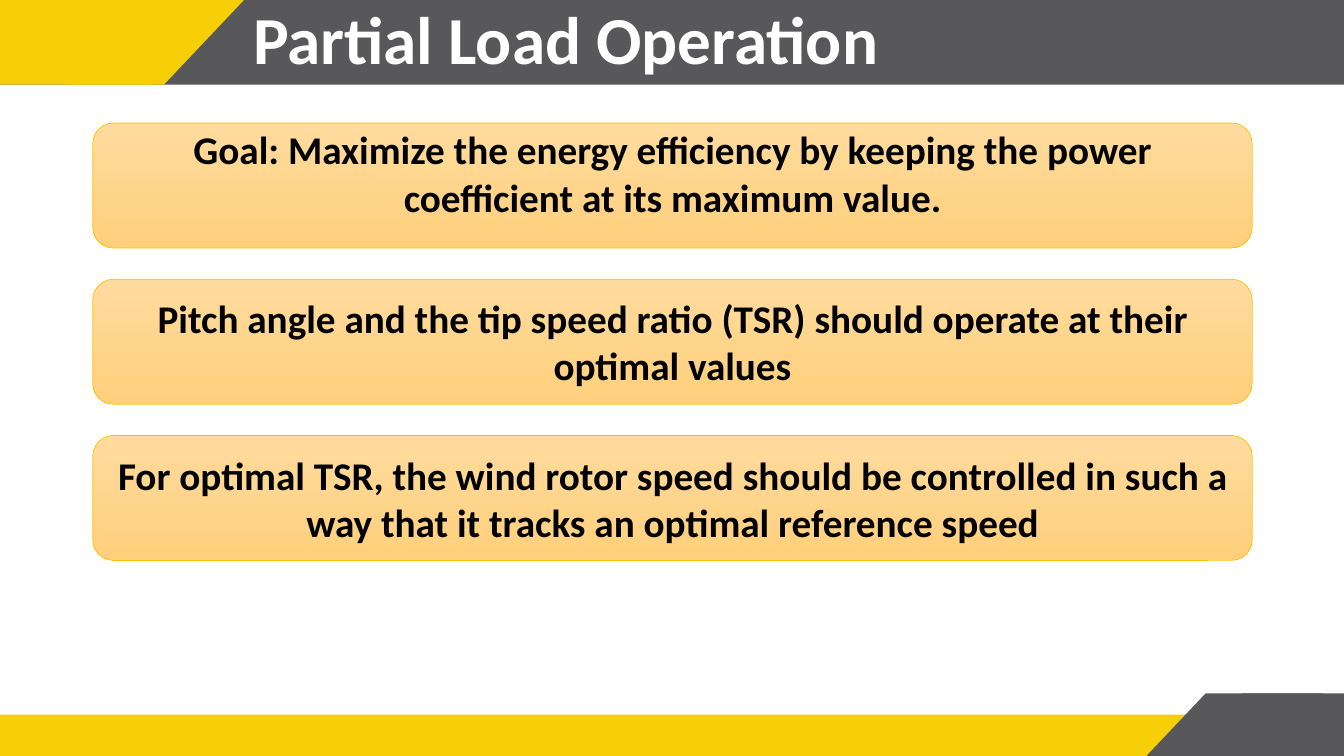
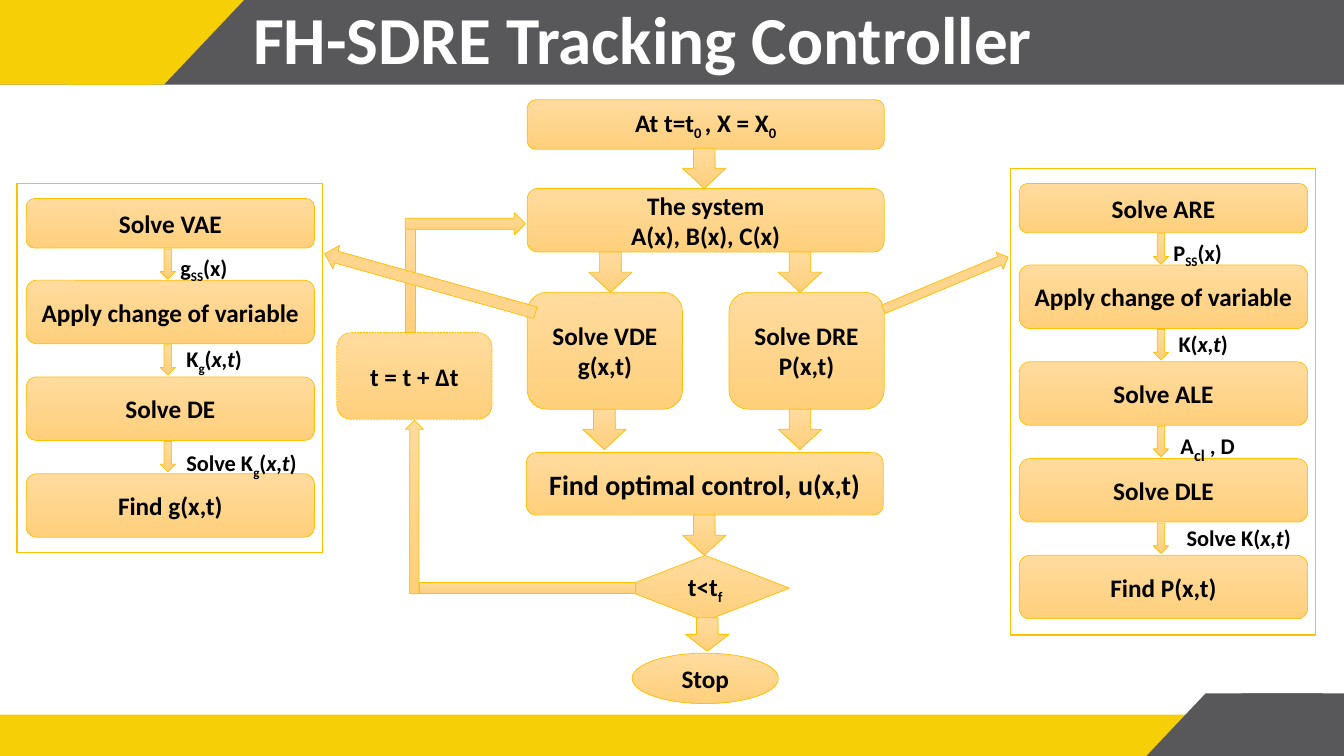
from pptx import Presentation
from pptx.dml.color import RGBColor
from pptx.enum.dml import MSO_LINE
from pptx.enum.shapes import MSO_SHAPE
from pptx.enum.text import MSO_ANCHOR, MSO_AUTO_SIZE, PP_ALIGN
from pptx.util import Emu, Pt

RECT = MSO_SHAPE.RECTANGLE
ROUND = MSO_SHAPE.ROUNDED_RECTANGLE
SLANT = MSO_SHAPE.PARALLELOGRAM
DIAMOND = MSO_SHAPE.FLOWCHART_DECISION
OVAL = MSO_SHAPE.OVAL
DOWN = MSO_SHAPE.DOWN_ARROW
UP = MSO_SHAPE.UP_ARROW
RIGHT = MSO_SHAPE.RIGHT_ARROW
MIDDLE = MSO_ANCHOR.MIDDLE
TOP = MSO_ANCHOR.TOP
CENTER = PP_ALIGN.CENTER
LEFT = PP_ALIGN.LEFT
FIT_SHAPE = MSO_AUTO_SIZE.SHAPE_TO_FIT_TEXT
NO_FIT = MSO_AUTO_SIZE.NONE
DASHED = MSO_LINE.SQUARE_DOT

YELLOW = RGBColor(0xF6, 0xCF, 0x06)
GRAY = RGBColor(0x58, 0x58, 0x5A)
WHITE = RGBColor(0xFF, 0xFF, 0xFF)
BLACK = RGBColor(0, 0, 0)
AMBER = RGBColor(0xFF, 0xC0, 0x00)
PALE_ORANGE = RGBColor(0xFF, 0xDB, 0x9E)
ORANGE = RGBColor(0xFF, 0xD0, 0x7C)

PX = 9144
SLIDE_SIZE = (1333, 750)
TITLE_ONLY = 5
BANDS = [
    (RECT, (0, 709, 1333, 41), YELLOW),
    (RECT, (0, 0, 1333, 84), GRAY),
    (SLANT, (67, 0, 175, 84), YELLOW),
    (RECT, (0, 0, 151, 84), YELLOW),
    (SLANT, (1137, 688, 175, 62), GRAY),
    (RECT, (1232, 688, 101, 62), GRAY),
    (RECT, (1199, 709, 101, 41), GRAY),
]


def px(*lengths):
    return [Emu(length * PX) for length in lengths]


def sub(text, **format_values):
    return text, -25, format_values


def italic(text):
    return text, 0, {"italic": True}


class Deck:
    def __init__(self):
        self.show = Presentation()
        self.show.slide_width, self.show.slide_height = px(*SLIDE_SIZE)
        self.layout = self.show.slide_layouts[TITLE_ONLY]
        self.page = None

    def add_page(self, title):
        first = self.page is None
        self.page = self.show.slides.add_slide(self.layout)
        if first:
            self.add_bands()
        holder = self.page.shapes.title
        holder.left, holder.top, holder.width, holder.height = px(241, 0, 1000, 84)
        self.set_text(holder.text_frame, [title], 48, WHITE, LEFT,
                      auto_size=NO_FIT, vertical_anchor=MIDDLE)
        holder.text_frame.paragraphs[0].line_spacing = 0.9

    def add_bands(self):
        for holder in list(self.layout.placeholders)[1:]:
            holder.element.getparent().remove(holder.element)
        bands = [self.shape(kind, at, color) for kind, at, color in BANDS]
        for band, (kind, _, _) in zip(bands, BANDS):
            if kind == SLANT:
                band.adjustments[0] = 0.946
            self.layout.shapes.element.append(band.element)

    def shape(self, kind, at, color=None, line=None):
        shape = self.page.shapes.add_shape(kind, *px(*at))
        shape.shadow.inherit = False
        if color is None:
            shape.fill.gradient()
            shape.fill.gradient_angle = 270
            for stop, tone in zip(shape.fill.gradient_stops, (PALE_ORANGE, ORANGE)):
                stop.color.rgb = tone
        else:
            shape.fill.solid()
            shape.fill.fore_color.rgb = color
        if line:
            shape.line.color.rgb = AMBER
            shape.line.width = Pt(line)
        else:
            shape.line.fill.background()
        return shape

    def set_text(self, frame, lines, size, color, align, **frame_values):
        for name, value in {"word_wrap": True, **frame_values}.items():
            setattr(frame, name, value)
        for index, line in enumerate(lines):
            para = frame.paragraphs[0] if index == 0 else frame.add_paragraph()
            para.alignment = align
            for part in [line] if isinstance(line, str) else line:
                text, baseline, changes = (part, 0, {}) if isinstance(part, str) else part
                span = para.add_run()
                span.text = text
                font_values = {"name": "Calibri", "size": Pt(size), "bold": True, **changes}
                for name, value in font_values.items():
                    setattr(span.font, name, value)
                span.font.color.rgb = color
                if baseline:
                    span._r.get_or_add_rPr().set("baseline", str(baseline * 1000))

    def box(self, at, *lines, kind=ROUND, size=18, **frame_values):
        box = self.shape(kind, at, line=0.5)
        self.set_text(box.text_frame, lines, size, BLACK, CENTER,
                      vertical_anchor=MIDDLE, **frame_values)
        return box

    def arrow(self, kind, at, rotation=0):
        self.shape(kind, at, line=0.5).rotation = rotation

    def label(self, at, line):
        label = self.page.shapes.add_textbox(*px(*at))
        self.set_text(label.text_frame, [line], 16, BLACK, LEFT,
                      auto_size=FIT_SHAPE, vertical_anchor=TOP)

    def panel(self, left, top, height, steps, labels):
        self.shape(RECT, (left, top, 303, height), WHITE, 1)
        for index, step in enumerate(steps):
            offset, depth = (96 * index, 63) if index else (15, 49)
            self.box((left + 9, top + offset, 286, depth), step)
            if index < len(labels):
                self.arrow(DOWN, (left + 142, top + offset + depth + 1, 15, 30))
        for x, y, width, line in labels:
            self.label((left + x, top + y, width, 37), line)


def build_partial_load(deck):
    deck.add_page("Partial Load Operation")
    statements = [
        "Goal: Maximize the energy efficiency by keeping the power coefficient at its maximum value.",
        "Pitch angle and the tip speed ratio (TSR) should operate at their optimal values",
        "For optimal TSR, the wind rotor speed should be controlled in such a way that it "
        "tracks an optimal reference speed",
    ]
    goal_margins = dict(zip(("margin_top", "margin_bottom"), px(0, 25)))
    for index, statement in enumerate(statements):
        margins = {} if index else goal_margins
        deck.box((92, 122 + 155 * index, 1150, 124), statement, size=28, **margins)


def build_controller(deck):
    deck.add_page("FH-SDRE Tracking Controller")
    deck.box((523, 99, 354, 49), ["At t=t", sub("0 "), ", X = X", sub("0")])
    deck.box((523, 187, 354, 63), "The system", "A(x), B(x), C(x)")
    deck.box((523, 290, 154, 116), "Solve VDE", "g(x,t)")
    deck.box((723, 290, 154, 116), "Solve DRE", "P(x,t)")
    deck.box((522, 449, 354, 62), "Find optimal control, u(x,t)", size=20)
    deck.box((616, 551, 167, 65), ["t<t", sub("f")], kind=DIAMOND)
    deck.box((627, 648, 145, 50), "Stop", kind=OVAL)

    for left, top in [(677, 147), (584, 250), (772, 250), (578, 406), (772, 406), (677, 511)]:
        deck.arrow(DOWN, (left, top, 43, 40))
    deck.arrow(DOWN, (680, 613, 43, 33))

    deck.arrow(RECT, (416, 578, 214, 11))
    deck.arrow(UP, (402, 417, 18, 172))
    time_step = deck.box((334, 330, 154, 86), "t = t + ∆t")
    time_step.line.dash_style = DASHED
    deck.arrow(RECT, (402, 223, 10, 107))
    deck.arrow(RIGHT, (402, 211, 119, 22))
    deck.arrow(RIGHT, (871, 272, 134, 18), 337.3)
    deck.arrow(RIGHT, (318, 269, 217, 24), 195.6)

    deck.panel(1002, 167, 463,
               ["Solve ARE", "Apply change of variable", "Solve ALE", "Solve DLE", "Find P(x,t)"],
               [(152, 65, 98, ["P", sub("SS"), "(x)"]),
                (157, 156, 98, ["K(", italic("x,t"), ")"]),
                (159, 251, 98, ["A", sub("cl", size=Pt(20)), " , D"]),
                (165, 348, 135, ["Solve K(", italic("x,t"), ")"])])
    deck.panel(17, 182, 366,
               ["Solve VAE", "Apply change of variable", "Solve DE", "Find g(x,t)"],
               [(152, 65, 98, ["g", sub("SS"), "(x)"]),
                (158, 156, 98, ["K", sub("g"), "(", italic("x,t"), ")"]),
                (158, 259, 135, ["Solve K", sub("g"), "(", italic("x,t"), ")"])])


def main():
    deck = Deck()
    build_partial_load(deck)
    build_controller(deck)
    deck.show.save("out.pptx")


if __name__ == "__main__":
    main()
